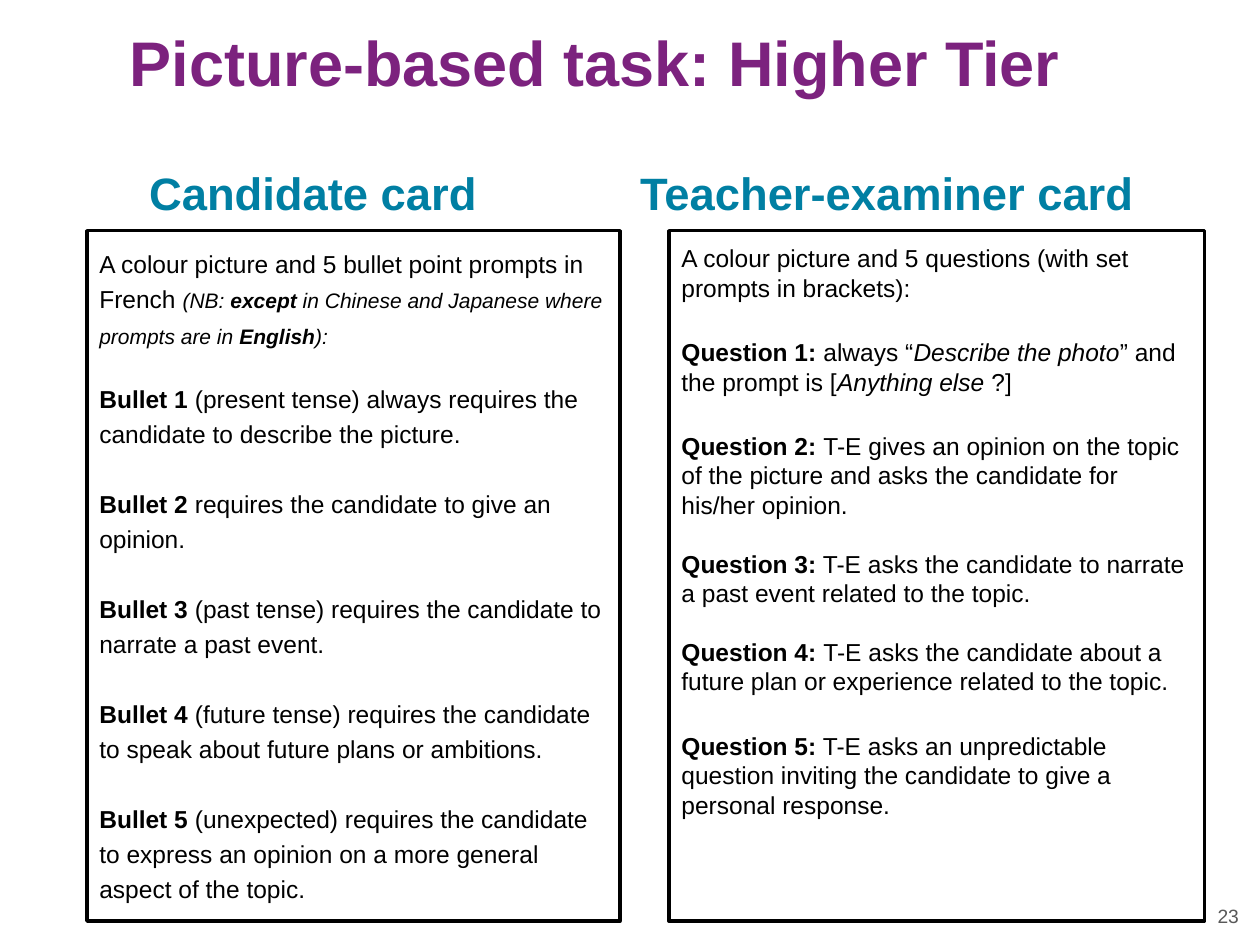
from pptx import Presentation
from pptx.dml.color import RGBColor
from pptx.enum import shapes, text
from pptx.util import Pt

COLOURS = {"title": "7C227E", "heading": "007FA3", "ink": "000000",
           "paper": "FFFFFF", "number": "595959"}
FONT = "Arial"
BOLD = {"bold": True}
ITALIC = {"italic": True}
NOTE = {"italic": True, "size": Pt(12)}
NOTE_BOLD = {**NOTE, **BOLD}

CANDIDATE = [
    (0, [("A colour picture and 5 bullet point prompts in French ", {}),
         ("(NB: ", NOTE), ("except", NOTE_BOLD),
         (" in Chinese and Japanese where prompts are in ", NOTE),
         ("English", NOTE_BOLD), ("):", NOTE)]),
    (17, [("Bullet 1", BOLD),
          (" (present tense) always requires the candidate to describe the picture.", {})]),
    (20, [("Bullet 2 ", BOLD),
          ("requires the candidate to give an opinion.", {})]),
    (20, [("Bullet 3", BOLD),
          (" (past tense) requires the candidate to narrate a past event.", {})]),
    (20, [("Bullet 4 ", BOLD),
          ("(future tense) requires the candidate to speak about future plans or ambitions.", {})]),
    (20, [("Bullet 5 ", BOLD),
          ("(unexpected) requires the candidate to express an opinion on a more general "
           "aspect of the topic.", {})]),
]
EXAMINER = [
    (0, [("A colour picture and 5 questions (with set prompts in brackets):", {})]),
    (20, [("Question 1: ", BOLD), ("always “", {}), ("Describe the photo", ITALIC),
          ("” and the prompt is [", {}), ("Anything else ", ITALIC), ("?]", {})]),
    (20, [("Question 2: ", BOLD),
          ("T-E gives an opinion on the topic of the picture and asks the candidate "
           "for his/her opinion.", {})]),
    (16.8, [("Question 3:", BOLD),
            (" T-E asks the candidate to narrate a past event related to the topic.", {})]),
    (16.8, [("Question 4: ", BOLD),
            ("T-E asks the candidate about a future plan or experience related to the topic.", {})]),
    (20, [("Question 5:", BOLD),
          (" T-E asks an unpredictable question inviting the candidate to give a "
           "personal response.", {})]),
]


def rgb(name):
    return RGBColor.from_string(COLOURS[name])


def set_frame(tf, inset, anchor):
    values = {"word_wrap": True, "vertical_anchor": anchor}
    for side in ("left", "top", "right", "bottom"):
        values[f"margin_{side}"] = Pt(inset)
    for name, value in values.items():
        setattr(tf, name, value)


def add_run(p, words, colour, **values):
    r = p.add_run()
    r.text = words
    r.font.color.rgb = rgb(colour)
    for name, value in {"name": FONT, **values}.items():
        setattr(r.font, name, value)


def add_label(s, box, words, size, colour, align, anchor=text.MSO_ANCHOR.TOP, bold=True):
    tf = s.shapes.add_textbox(*map(Pt, box)).text_frame
    set_frame(tf, 0, anchor)
    p = tf.paragraphs[0]
    p.alignment = align
    add_run(p, words, colour, size=Pt(size), bold=bold)
    return p


def add_title(s, box):
    p = add_label(s, box, "Picture-based task: Higher Tier", 36, "title",
                  text.PP_ALIGN.CENTER)
    p.line_spacing = Pt(43)


def add_card(s, box, heading, heading_shift, paragraphs, pitch):
    left, top, width, height = box
    add_label(s, (left + heading_shift, top - 47, width, 50), heading, 25.9,
              "heading", text.PP_ALIGN.LEFT, text.MSO_ANCHOR.MIDDLE)
    sp = s.shapes.add_shape(shapes.MSO_SHAPE.RECTANGLE, *map(Pt, box))
    sp.shadow.inherit = False
    sp.fill.solid()
    sp.fill.fore_color.rgb = rgb("paper")
    sp.line.color.rgb = rgb("ink")
    sp.line.width = Pt(2)
    tf = sp.text_frame
    set_frame(tf, 7.2, text.MSO_ANCHOR.TOP)
    for i, (gap, runs) in enumerate(paragraphs):
        p = tf.add_paragraph() if i else tf.paragraphs[0]
        p.alignment = text.PP_ALIGN.LEFT
        p.line_spacing = Pt(pitch)
        if gap:
            p.space_before = Pt(gap)
        for words, values in runs:
            add_run(p, words, "ink", **{"size": Pt(14), **values})


def add_number(s, box):
    add_label(s, box, "23", 11, "number", text.PP_ALIGN.RIGHT,
              text.MSO_ANCHOR.MIDDLE, bold=False)


def main():
    prs = Presentation()
    prs.slide_width, prs.slide_height = Pt(720), Pt(540)
    s = prs.slides.add_slide(prs.slide_layouts[6])
    add_number(s, (685, 512.6, 23, 21))
    add_title(s, (52.5, 13.7, 575, 73))
    add_card(s, (49.7, 131.8, 304.6, 394.5), "Candidate card", 35.5, CANDIDATE, 20)
    add_card(s, (382.3, 131.8, 306, 394.5), "Teacher-examiner card", -16.5, EXAMINER, 16.8)
    prs.save("out.pptx")


if __name__ == "__main__":
    main()
